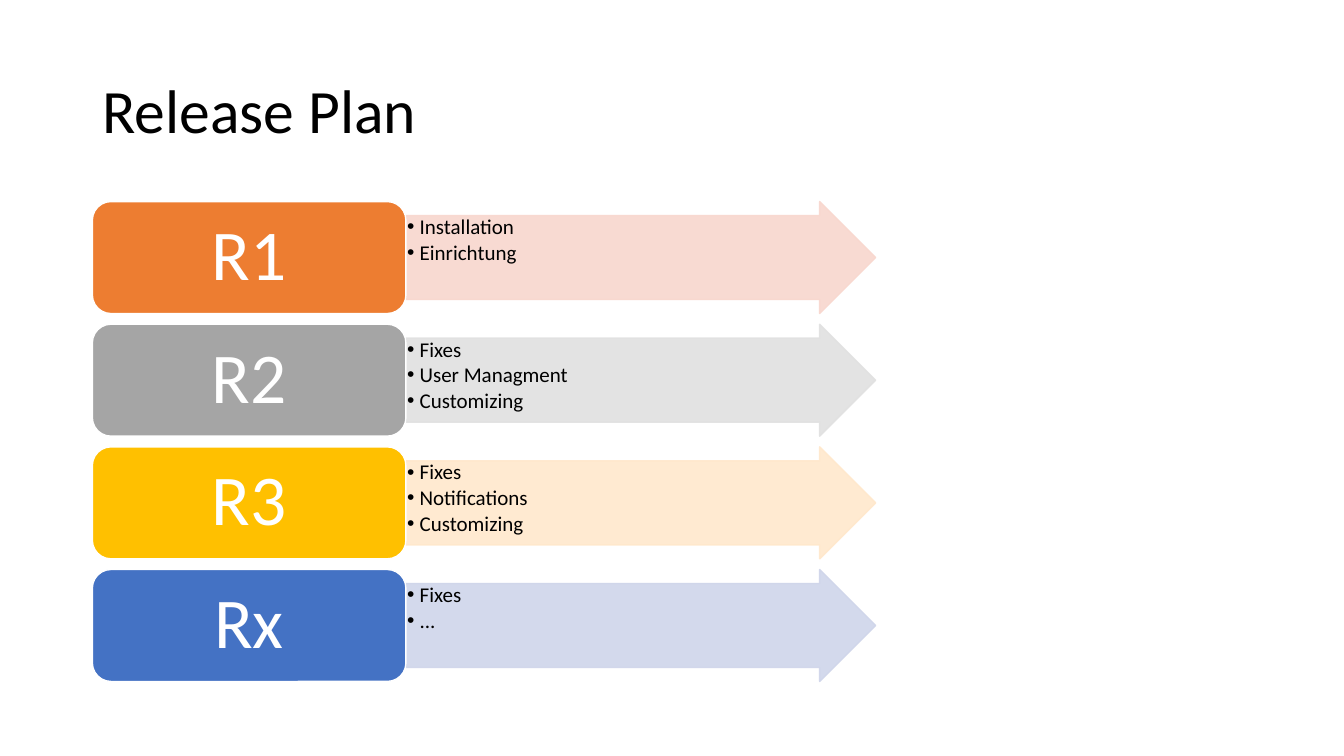
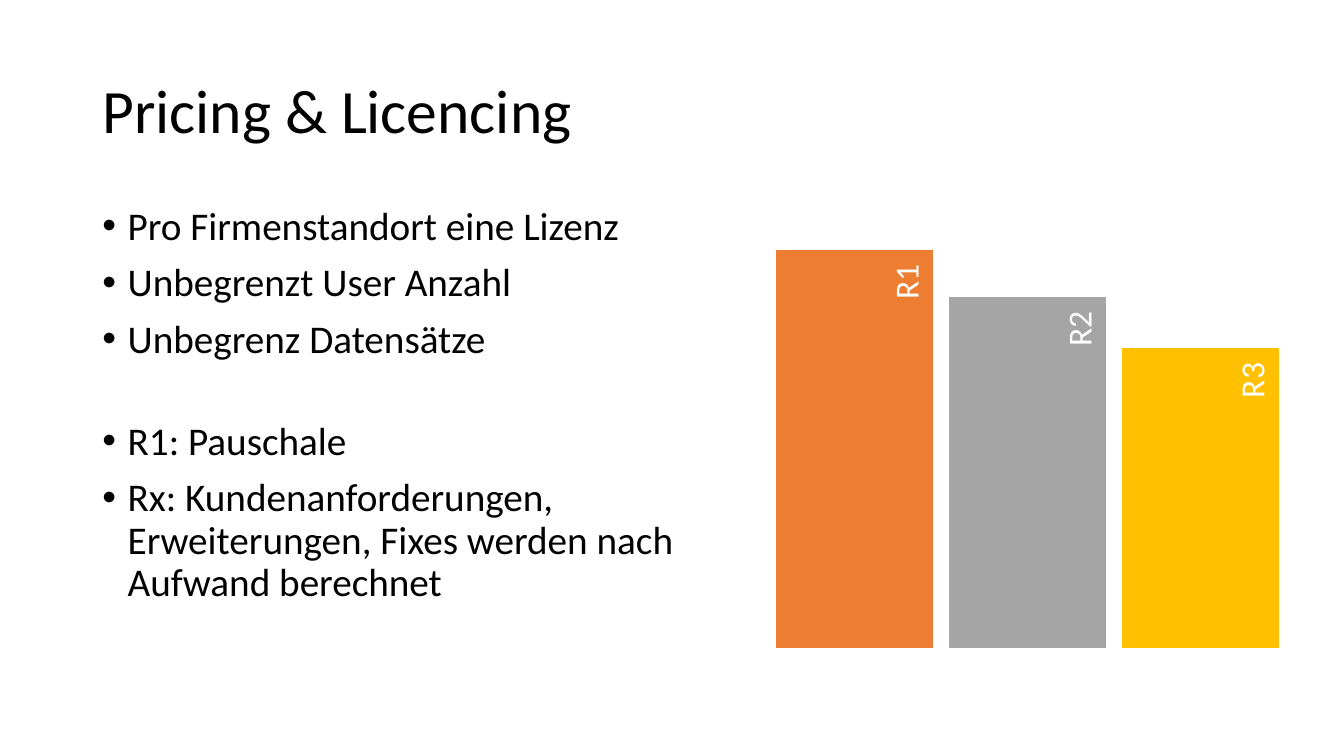
from lxml.etree import SubElement
from pptx import Presentation
from pptx.dml.color import RGBColor
from pptx.enum.shapes import MSO_SHAPE
from pptx.enum.text import MSO_ANCHOR, MSO_AUTO_SIZE, PP_ALIGN
from pptx.oxml.ns import qn
from pptx.util import Pt

FONT = "Calibri"
BLACK, WHITE = "000000", "FFFFFF"
ORANGE, GRAY, YELLOW, BLUE = "ED7D31", "A5A5A5", "FFC000", "4472C4"
LEFT = 66
CONTENT_TOP = 144
PLACEHOLDER_MARGINS = (7.2, 3.6, 7.2, 3.6)


def write_text(shape, lines, size, color, alignment=PP_ALIGN.LEFT,
               anchor=MSO_ANCHOR.TOP, margins=PLACEHOLDER_MARGINS,
               bullet_indent=0, before=0, after=0):
    """Fill a shape with one paragraph per line; margins run left, top, right, bottom."""
    frame = shape.text_frame
    frame.text = "\n".join(lines)
    frame.word_wrap = True
    frame.auto_size = MSO_AUTO_SIZE.NONE
    frame.vertical_anchor = anchor
    (frame.margin_left, frame.margin_top,
     frame.margin_right, frame.margin_bottom) = map(Pt, margins)
    for paragraph in frame.paragraphs:
        paragraph.alignment = alignment
        paragraph.line_spacing = 0.9
        paragraph.space_before = Pt(before)
        paragraph.space_after = Pt(after)
        if bullet_indent:
            properties = paragraph._p.get_or_add_pPr()
            properties.set("marL", str(Pt(bullet_indent)))
            properties.set("indent", str(-Pt(bullet_indent)))
            SubElement(properties, qn("a:buFont"), typeface="Arial")
            SubElement(properties, qn("a:buChar"), char="•")
        for run in paragraph.runs:
            run.font.name = FONT
            run.font.size = Pt(size)
            run.font.color.rgb = RGBColor.from_string(color)


def add_filled_shape(slide, kind, box, fill, line=WHITE, opacity=100):
    shape = slide.shapes.add_shape(kind, *map(Pt, box))
    shape.shadow.inherit = False
    shape.fill.solid()
    shape.fill.fore_color.rgb = RGBColor.from_string(fill)
    shape.line.color.rgb = RGBColor.from_string(line)
    shape.line.width = Pt(1)
    if opacity < 100:
        for color in shape._element.spPr.iter(qn("a:srgbClr")):
            SubElement(color, qn("a:alpha"), val=str(opacity * 1000))
    return shape


presentation = Presentation()
presentation.slide_width = Pt(960)
presentation.slide_height = Pt(540)
layouts = presentation.slide_layouts
release_slide = presentation.slides.add_slide(layouts.get_by_name("Title Only"))
pricing_slide = presentation.slides.add_slide(layouts.get_by_name("Two Content"))

for slide, title in ((release_slide, "Release Plan"),
                     (pricing_slide, "Pricing & Licencing")):
    shape = slide.shapes.title
    shape.left, shape.top, shape.width, shape.height = map(Pt, (LEFT, 28.75, 828, 104.4))
    write_text(shape, [title], 44, BLACK, anchor=MSO_ANCHOR.MIDDLE)

# Release plan: one label and one arrow per release
ROW_HEIGHT, ROW_PITCH = 80, 87.6
LABEL_WIDTH, ARROW_WIDTH = 224, 335.5
releases = (
    ("R1", ORANGE, "F8D7CE", ["Installation", "Einrichtung"]),
    ("R2", GRAY, "E1E1E1", ["Fixes", "User Managment", "Customizing"]),
    ("R3", YELLOW, "FFE8CC", ["Fixes", "Notifications", "Customizing"]),
    ("Rx", BLUE, "CFD5EA", ["Fixes", "..."]),
)
for row, (name, color, tint, features) in enumerate(releases):
    top = CONTENT_TOP + row * ROW_PITCH
    arrow = add_filled_shape(
        release_slide, MSO_SHAPE.RIGHT_ARROW,
        (LEFT + LABEL_WIDTH, top, ARROW_WIDTH, ROW_HEIGHT), tint, tint, opacity=90)
    arrow.adjustments[0] = 0.75
    arrow.adjustments[1] = 0.5
    write_text(arrow, features, 15, BLACK, margins=(0.75,) * 4,
               bullet_indent=9, after=2)
    label = add_filled_shape(release_slide, MSO_SHAPE.ROUNDED_RECTANGLE,
                             (LEFT, top, LABEL_WIDTH, ROW_HEIGHT), color)
    write_text(label, [name], 51, WHITE, PP_ALIGN.CENTER, MSO_ANCHOR.MIDDLE,
               margins=(15, 8, 15, 8))

# Pricing: licence terms on the left
terms = (
    (CONTENT_TOP, ["Pro Firmenstandort eine Lizenz", "Unbegrenzt User Anzahl",
                   "Unbegrenz Datensätze"]),
    (297.4, ["R1: Pauschale",
             "Rx: Kundenanforderungen, Erweiterungen, Fixes werden nach Aufwand berechnet"]),
)
for index, (top, lines) in enumerate(terms, start=1):
    body = pricing_slide.placeholders[index]
    body.left, body.top, body.width, body.height = map(Pt, (LEFT, top, 481.7, 187.2))
    write_text(body, lines, 28, BLACK, bullet_indent=18, before=10)

# Pricing: falling bars, each with a rotated label in its upper right corner
BAR_LEFT, BAR_BOTTOM, BAR_WIDTH, BAR_PITCH = 553.8, 463.7, 113, 123.5
LABEL_HEIGHT, LABEL_CENTER = 29.5, 95.6
bars = (("R1", ORANGE, 285.9), ("R2", GRAY, 252), ("R3", YELLOW, 215.3))
for column, (name, color, height) in enumerate(bars):
    left = BAR_LEFT + column * BAR_PITCH
    top = BAR_BOTTOM - height
    add_filled_shape(pricing_slide, MSO_SHAPE.RECTANGLE,
                     (left, top, BAR_WIDTH, height), color)
    length = 0.9 * height
    label = pricing_slide.shapes.add_textbox(
        Pt(left + LABEL_CENTER - length / 2), Pt(top + (length - LABEL_HEIGHT) / 2),
        Pt(length), Pt(LABEL_HEIGHT))
    label.rotation = 270
    write_text(label, [name], 24, WHITE, PP_ALIGN.RIGHT, MSO_ANCHOR.MIDDLE,
               margins=(7.2, 0, 10.8, 2))

presentation.save("out.pptx")
